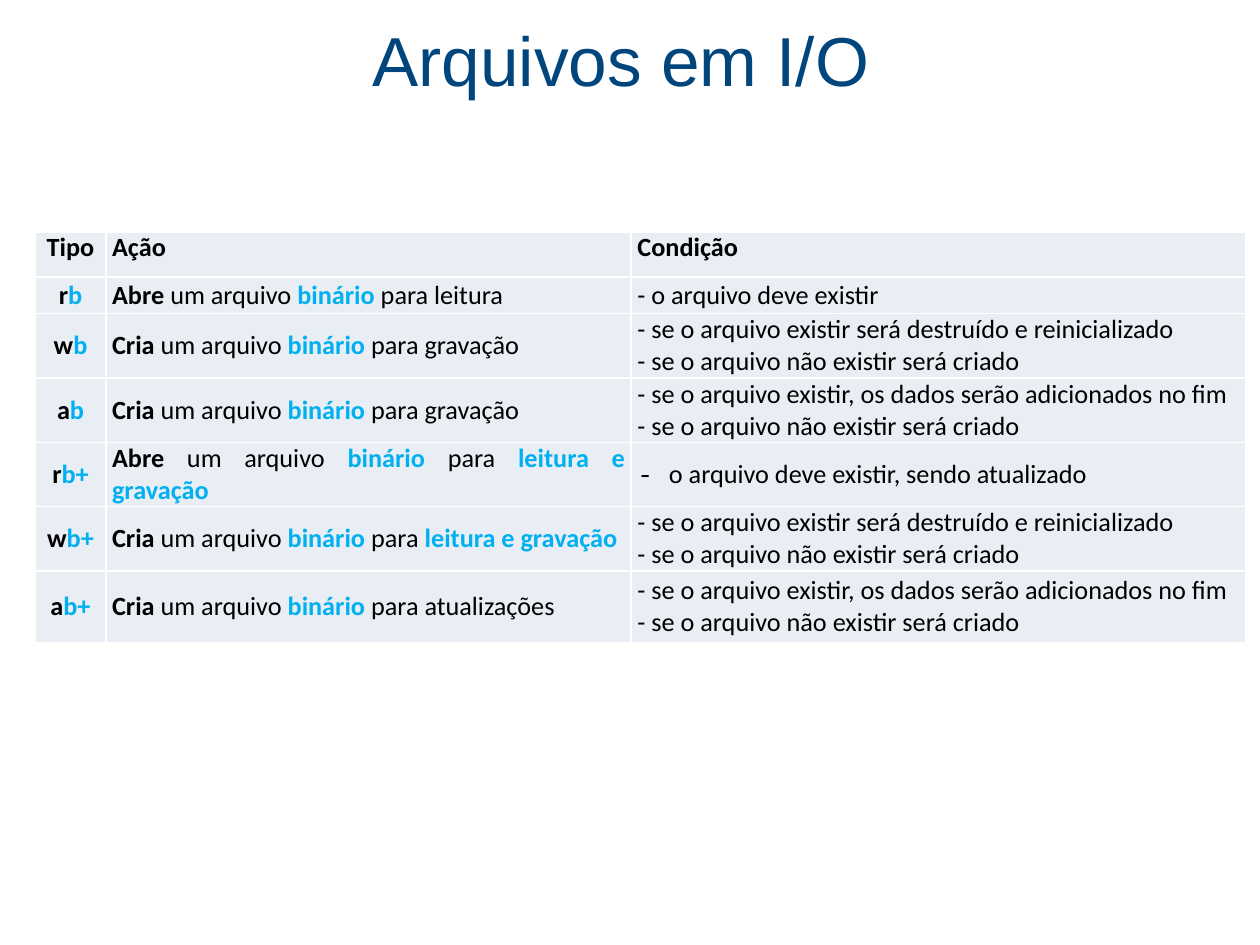
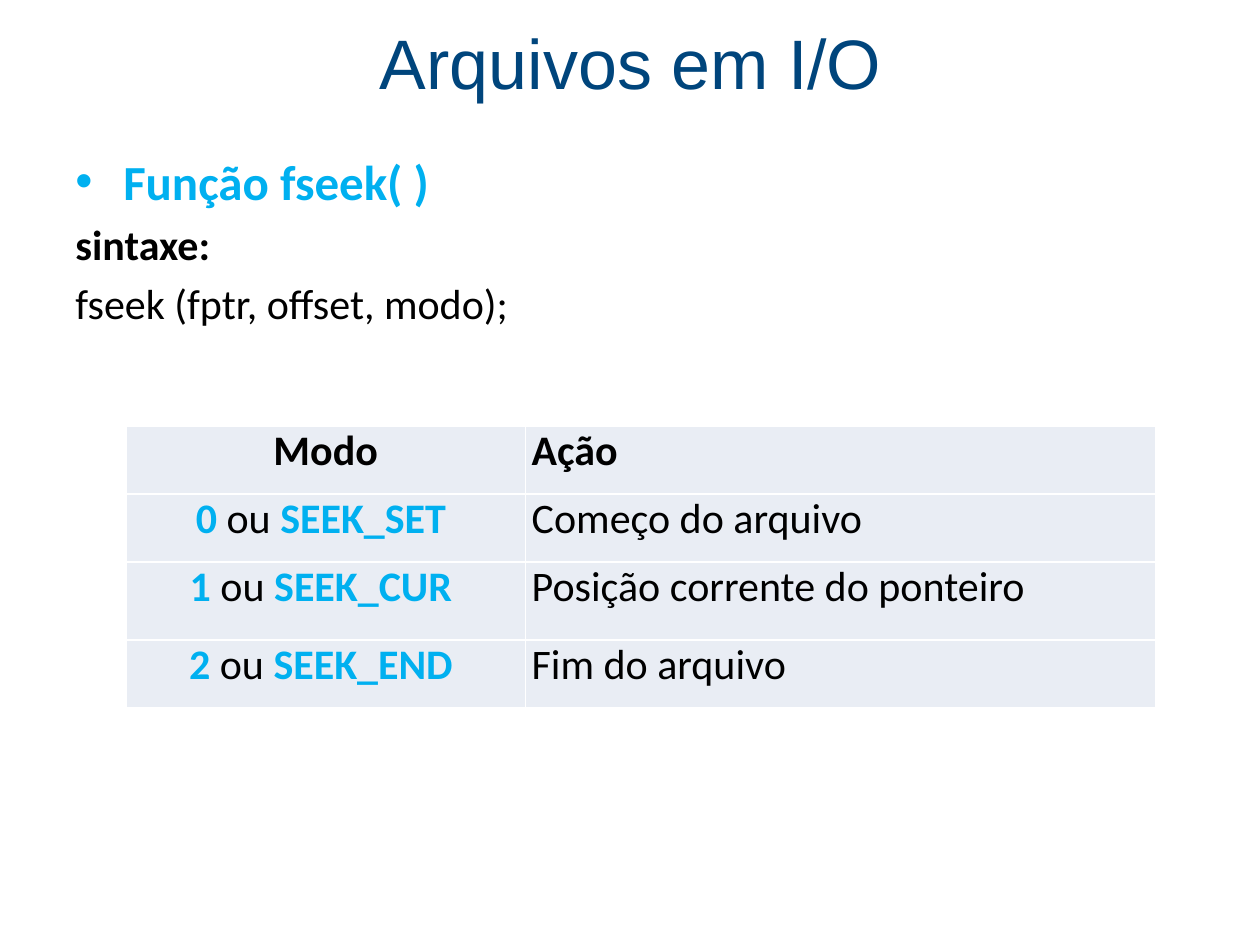
"""Build two slides on C file modes and the fseek function."""
from dataclasses import dataclass
from typing import NamedTuple

from lxml.etree import SubElement
from pptx import Presentation
from pptx.dml.color import RGBColor
from pptx.enum.text import MSO_ANCHOR, PP_ALIGN
from pptx.oxml import parse_xml
from pptx.oxml.ns import nsdecls, qn
from pptx.util import Inches, Pt

NAVY = RGBColor(0x00, 0x45, 0x7C)
CYAN = RGBColor(0x00, 0xB0, 0xF0)
BLACK = RGBColor(0x00, 0x00, 0x00)
PALE = RGBColor(0xE9, 0xED, 0xF4)
WHITE = RGBColor(0xFF, 0xFF, 0xFF)
TITLE = "Arquivos em I/O"
TITLE_FONT, BODY_FONT, DASH_FONT = "Arial", "Calibri", "Courier New"


class Run(NamedTuple):
    text: str
    color: RGBColor = BLACK
    bold: bool = False
    font: str = BODY_FONT


Line = list[Run]
Cell = list[Line]


class Box(NamedTuple):
    left: float
    top: float
    width: float
    height: float

    def lengths(self) -> list:
        return [Inches(value) for value in self]


@dataclass
class Grid:
    box: Box
    columns: list[float]
    heights: list[float]
    size: float
    body_anchor: MSO_ANCHOR
    rows: list[list[Cell]]


def strong(text: str) -> Run:
    return Run(text, bold=True)


def key(text: str) -> Run:
    return Run(text, CYAN, True)


def header(*names: str) -> list[Cell]:
    return [[[strong(name)]] for name in names]


def file_mode(letter: str, suffix: str, verb: str, purpose: Line, condition: Cell) -> list[Cell]:
    action = [strong(verb), Run(" um arquivo "), key("binário"), *purpose]
    return [[[strong(letter), key(suffix)]], [action], condition]


def seek_mode(number: str, constant: str, action: str) -> list[Cell]:
    return [[[key(number), Run(" ou "), key(f"{constant} ")]], [[Run(action)]]]


def either(existing: str) -> Cell:
    return [[Run(f"- se o arquivo existir{existing}")],
            [Run("- se o arquivo não existir será criado")]]


RESET = either(" será destruído e reinicializado")
APPEND = either(", os dados serão adicionados no fim")
WRITING = [Run(" para gravação")]

FILE_MODES = Grid(
    Box(0.28, 1.84, 9.62, 3.22),
    [0.56, 4.17, 4.88],
    [0.36, 0.29, 0.49, 0.49, 0.49, 0.49, 0.57],
    15,
    MSO_ANCHOR.MIDDLE,
    [
        header("Tipo", "Ação", "Condição"),
        file_mode("r", "b", "Abre", [Run(" para leitura")], [[Run("- o arquivo deve existir")]]),
        file_mode("w", "b", "Cria", WRITING, RESET),
        file_mode("a", "b", "Cria", WRITING, APPEND),
        file_mode("r", "b+", "Abre", [Run(" para "), key("leitura e gravação")],
                  [[Run("- ", font=DASH_FONT), Run("o arquivo deve existir, sendo atualizado")]]),
        file_mode("w", "b+", "Cria", [Run(" para "), key("leitura e gravação ")], RESET),
        file_mode("a", "b+", "Cria", [Run(" para atualizações")], APPEND),
    ],
)

SEEK_MODES = Grid(
    Box(1, 3.38, 8.17, 2.24),
    [3.17, 5],
    [0.54, 0.54, 0.62, 0.54],
    24,
    MSO_ANCHOR.TOP,
    [
        header("Modo", "Ação"),
        seek_mode("0", "SEEK_SET", "Começo do arquivo"),
        seek_mode("1", "SEEK_CUR", "Posição corrente do ponteiro"),
        seek_mode("2", "SEEK_END", "Fim do arquivo"),
    ],
)

SYNTAX = [
    (28, key("Função fseek( )")),
    (24, strong("sintaxe:")),
    (24, Run("fseek (fptr, offset, modo);")),
]


def set_attributes(target, values: dict) -> None:
    for name, value in values.items():
        setattr(target, name, value)


def write_run(paragraph, content: Run, size: float) -> None:
    run = paragraph.add_run()
    run.text = content.text
    set_attributes(run.font, {"name": content.font, "size": Pt(size), "bold": content.bold})
    run.font.color.rgb = content.color


def paragraph_at(frame, index: int):
    return frame.add_paragraph() if index else frame.paragraphs[0]


def add_titled_slide(presentation, box: Box, size: float):
    slide = presentation.slides.add_slide(presentation.slide_layouts[5])
    title = slide.shapes.title
    set_attributes(title, dict(zip(Box._fields, box.lengths())))
    set_attributes(title.text_frame, {"word_wrap": True, "vertical_anchor": MSO_ANCHOR.MIDDLE})
    paragraph = title.text_frame.paragraphs[0]
    paragraph.alignment = PP_ALIGN.CENTER
    write_run(paragraph, Run(TITLE, NAVY, font=TITLE_FONT), size)
    return slide


def add_borders(cell) -> None:
    properties = cell._tc.get_or_add_tcPr()
    for index, side in enumerate(("lnL", "lnR", "lnT", "lnB")):
        properties.insert(index, parse_xml(
            f'<a:{side} {nsdecls("a")} w="{Pt(1)}"><a:solidFill>'
            f'<a:srgbClr val="{WHITE}"/></a:solidFill></a:{side}>'))


def fill_cell(cell, lines: Cell, size: float, alignment: PP_ALIGN, anchor: MSO_ANCHOR) -> None:
    set_attributes(cell, {
        "margin_left": Inches(0.05), "margin_right": Inches(0.05),
        "margin_top": 0, "margin_bottom": 0, "vertical_anchor": anchor,
    })
    cell.fill.solid()
    cell.fill.fore_color.rgb = PALE
    add_borders(cell)
    for index, line in enumerate(lines):
        paragraph = paragraph_at(cell.text_frame, index)
        paragraph.alignment = alignment
        for run in line:
            write_run(paragraph, run, size)


def add_grid(slide, grid: Grid) -> None:
    table = slide.shapes.add_table(
        len(grid.heights), len(grid.columns), *grid.box.lengths()).table
    set_attributes(table, {"first_row": False, "horz_banding": False})
    for column, width in zip(table.columns, grid.columns):
        column.width = Inches(width)
    for row, height in zip(table.rows, grid.heights):
        row.height = Inches(height)
    for row_index, row in enumerate(grid.rows):
        anchor = grid.body_anchor if row_index else MSO_ANCHOR.TOP
        for column_index, lines in enumerate(row):
            alignment = PP_ALIGN.JUSTIFY if column_index else PP_ALIGN.CENTER
            fill_cell(table.cell(row_index, column_index), lines, grid.size, alignment, anchor)


def add_bullet(paragraph) -> None:
    properties = paragraph._p.get_or_add_pPr()
    properties.set("marL", str(Inches(0.38)))
    properties.set("indent", str(-Inches(0.38)))
    SubElement(properties, qn("a:buFont"), typeface="Arial")
    SubElement(properties, qn("a:buChar"), char="•")


def add_syntax(slide, box: Box) -> None:
    frame = slide.shapes.add_textbox(*box.lengths()).text_frame
    frame.word_wrap = True
    for index, (size, run) in enumerate(SYNTAX):
        paragraph = paragraph_at(frame, index)
        paragraph.space_before = Pt(0.2 * size)
        write_run(paragraph, run, size)
    add_bullet(frame.paragraphs[0])


def main() -> None:
    presentation = Presentation()
    set_attributes(presentation, {"slide_width": Inches(10), "slide_height": Inches(7.5)})
    modes_slide = add_titled_slide(presentation, Box(0.43, 0.01, 9, 0.91), 39.6)
    add_grid(modes_slide, FILE_MODES)
    seek_slide = add_titled_slide(presentation, Box(0.35, 0.03, 9.31, 0.91), 40)
    add_syntax(seek_slide, Box(0.5, 1.15, 8.99, 6.04))
    add_grid(seek_slide, SEEK_MODES)
    presentation.save("out.pptx")


if __name__ == "__main__":
    main()
